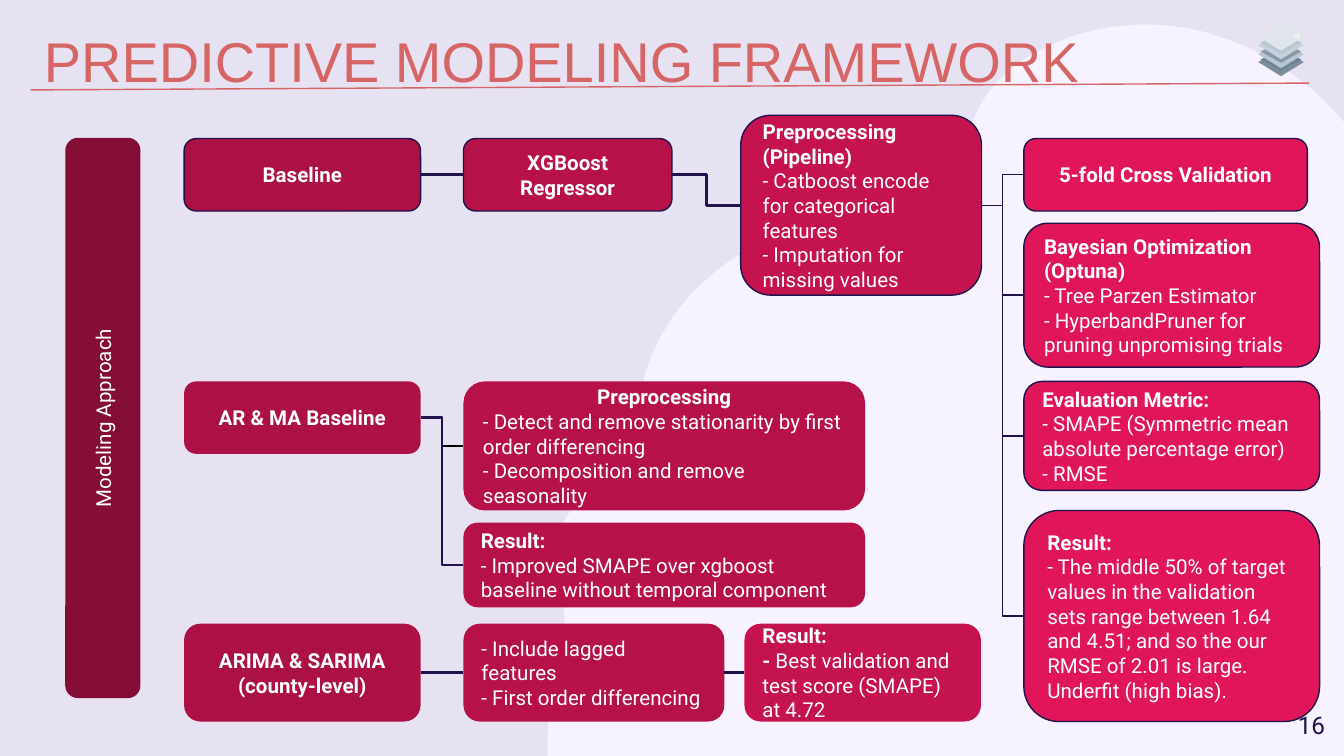
from lxml import etree
from pptx import Presentation
from pptx.dml.color import RGBColor
from pptx.enum.shapes import MSO_CONNECTOR, MSO_SHAPE
from pptx.enum.text import MSO_ANCHOR, PP_ALIGN
from pptx.oxml.ns import qn
from pptx.util import Cm, Pt

LAVENDER = RGBColor(0xE7, 0xE2, 0xF2)
PALE = RGBColor(0xF6, 0xF2, 0xFF)
CORAL = RGBColor(0xD6, 0x65, 0x65)
NAVY = RGBColor(0x20, 0x12, 0x4D)
BLACK = RGBColor(0, 0, 0)
WHITE = RGBColor(0xFF, 0xFF, 0xFF)
MAROON = RGBColor(0x84, 0x0D, 0x35)
WINE = RGBColor(0xAC, 0x11, 0x45)
CRIMSON = RGBColor(0xB6, 0x12, 0x49)
RED = RGBColor(0xC4, 0x13, 0x4E)
PINK = RGBColor(0xE1, 0x16, 0x5A)
STACK = [
    (0.91, RGBColor(0x7B, 0x8E, 0x9E), RGBColor(0x6E, 0x82, 0x94)),
    (0.76, RGBColor(0xB8, 0xC6, 0xD2), RGBColor(0x85, 0x99, 0xAA)),
    (0.59, RGBColor(0xC5, 0xD0, 0xDA), RGBColor(0xB8, 0xC6, 0xD2)),
]
STACK_TOP = RGBColor(0xDF, 0xE5, 0xEA)
STACK_GLINT = RGBColor(0xEC, 0xEF, 0xF2)

MODEL_X, STEP_X, PREP_X, EVAL_X = 3.48, 8.76, 14.0, 19.35
MODEL_W, EVAL_W = 4.47, 5.59
BASE_Y, AR_Y, ARIMA_Y = 2.62, 7.21, 11.79
LOW_H, ARIMA_H = 1.37, 1.85

BLOB_START = (25.4, 2.31)
BLOB_CURVES = [
    ((24.74, 1.52), (23.83, 0.89), (22.78, 0.61)),
    ((21.62, 0.3), (20.32, 0.48), (19.33, 1.14)),
    ((18.82, 1.5), (18.52, 1.88), (18.34, 2.41)),
    ((18.19, 2.82), (18.03, 3.28), (17.68, 3.56)),
    ((17.25, 3.89), (16.74, 3.84), (16.18, 3.94)),
    ((15.04, 4.14), (13.89, 4.7), (13.08, 5.54)),
    ((12.7, 5.94), (12.4, 6.45), (12.22, 6.98)),
    ((12.04, 7.52), (11.99, 8.13), (11.68, 8.61)),
    ((11.4, 9.09), (10.92, 9.4), (10.64, 9.88)),
    ((10.31, 10.52), (10.69, 11.15), (10.67, 11.81)),
    ((10.64, 12.6), (10.3, 13.4), (10.35, 14.29)),
]


def flatten(start, curves, steps=12):
    outline = [start]
    for a, b, end in curves:
        begin = outline[-1]
        for step in range(1, steps + 1):
            t = step / steps
            weights = ((1 - t) ** 3, 3 * t * (1 - t) ** 2, 3 * t * t * (1 - t), t ** 3)
            outline.append(tuple(
                sum(w * p[axis] for w, p in zip(weights, (begin, a, b, end)))
                for axis in (0, 1)))
    return outline


def heading(text, align=PP_ALIGN.LEFT):
    return align, [(text, True)]


def title(text):
    return heading(text, PP_ALIGN.CENTER)


def item(text):
    return PP_ALIGN.LEFT, [(text, False)]


class Board:
    """Holds the shared style and the slide being built."""

    body = {"name": "Roboto", "size": Pt(11)}
    frame = {"word_wrap": True, "margin_left": Cm(0.25), "margin_right": Cm(0.25),
             "margin_top": Cm(0.25), "margin_bottom": Cm(0.25)}

    def __init__(self, slide):
        self.slide = slide
        slide.background.fill.solid()
        slide.background.fill.fore_color.rgb = LAVENDER

    def fill_text(self, shape, paragraphs, color=WHITE, anchor=MSO_ANCHOR.MIDDLE,
                  frame=None, font=None):
        text_frame = shape.text_frame
        for key, value in {**self.frame, "vertical_anchor": anchor, **(frame or {})}.items():
            setattr(text_frame, key, value)
        for index, (align, runs) in enumerate(paragraphs):
            paragraph = text_frame.add_paragraph() if index else text_frame.paragraphs[0]
            paragraph.alignment = align
            for text, bold in runs:
                run = paragraph.add_run()
                run.text = text
                for key, value in {**self.body, "bold": bold, **(font or {})}.items():
                    setattr(run.font, key, value)
                run.font.color.rgb = color

    def paint(self, shape, fill, outlined=False):
        shape.shadow.inherit = False
        shape.fill.solid()
        shape.fill.fore_color.rgb = fill
        if outlined:
            shape.line.color.rgb = NAVY
            shape.line.width = Pt(0.75)
        else:
            shape.line.fill.background()
        return shape

    def preset(self, kind, place, fill, outlined=False):
        shape = self.slide.shapes.add_shape(kind, *map(Cm, place))
        return self.paint(shape, fill, outlined)

    def box(self, place, fill, *paragraphs, outlined=False):
        shape = self.preset(MSO_SHAPE.ROUNDED_RECTANGLE, place, fill, outlined)
        self.fill_text(shape, paragraphs)
        return shape

    def label(self, place, paragraph, color, **style):
        shape = self.slide.shapes.add_textbox(*map(Cm, place))
        self.fill_text(shape, [paragraph], color, MSO_ANCHOR.TOP, **style)

    def outline(self, points, fill):
        hundredths = [(round(x * 100), round(y * 100)) for x, y in points]
        builder = self.slide.shapes.build_freeform(*hundredths[0], scale=Cm(0.01))
        builder.add_line_segments(hundredths[1:], close=True)
        return self.paint(builder.convert_to_shape(), fill)

    def line(self, kind, ends, color, width):
        connector = self.slide.shapes.add_connector(kind, *map(Cm, ends))
        connector.line.color.rgb = color
        connector.line.width = Pt(width)
        etree.SubElement(connector._element.spPr, qn("a:effectLst"))
        return connector

    def link(self, source, target, width=1.5, color=NAVY):
        connector = self.line(MSO_CONNECTOR.ELBOW, (0, 0, 1, 1), color, width)
        connector.begin_connect(source, 3)
        connector.end_connect(target, 1)


def main():
    deck = Presentation()
    deck.slide_width, deck.slide_height = Cm(25.4), Cm(14.29)
    board = Board(deck.slides.add_slide(deck.slide_layouts[6]))

    board.outline(flatten(BLOB_START, BLOB_CURVES) + [(25.4, 14.29)], PALE)
    board.label((0.58, 0.13, 21.41, 1.6), item("PREDICTIVE MODELING FRAMEWORK"), CORAL,
                frame={"margin_top": Cm(0.37)}, font={"name": "Arial", "size": Pt(30)})
    board.line(MSO_CONNECTOR.STRAIGHT, (0.58, 1.7, 24.74, 1.57), CORAL, 0.75)

    for top, rim, face in STACK:
        board.preset(MSO_SHAPE.DIAMOND, (23.78, top, 0.86, 0.53), rim)
        board.preset(MSO_SHAPE.DIAMOND, (23.83, top, 0.76, 0.43), face)
    board.preset(MSO_SHAPE.DIAMOND, (23.78, 0.43, 0.86, 0.53), STACK_TOP)
    board.outline([(24.56, 0.61), (24.43, 0.68), (24.56, 0.76)], STACK_GLINT)

    approach = board.box((-3.35, 7.19, 10.59, 1.42), MAROON,
                         (PP_ALIGN.CENTER, [("Modeling Approach", False)]))
    approach.rotation = 270

    baseline = board.box((MODEL_X, BASE_Y, MODEL_W, LOW_H), WINE,
                         title("Baseline"), outlined=True)
    regressor = board.box((STEP_X, BASE_Y, 3.94, LOW_H), CRIMSON,
                          title("XGBoost Regressor"), outlined=True)
    pipeline = board.box((PREP_X, 2.18, 4.55, 3.4), RED,
                         heading("Preprocessing (Pipeline)"),
                         item("- Catboost encode for categorical features"),
                         item("- Imputation for missing values"), outlined=True)
    board.link(baseline, regressor)
    board.link(regressor, pipeline)

    evaluation = [
        (BASE_Y, 5.36, LOW_H, [title("5-fold Cross Validation")]),
        (4.22, EVAL_W, 2.72, [heading("Bayesian Optimization (Optuna)"),
                              item("- Tree Parzen Estimator"),
                              item("- HyperbandPruner for pruning unpromising trials")]),
        (AR_Y, EVAL_W, 2.06, [heading("Evaluation Metric:"),
                              item("- SMAPE (Symmetric mean absolute percentage error)"),
                              item("- RMSE")]),
        (9.65, EVAL_W, 3.99, [heading("Result:"),
                              item("- The middle 50% of target values in the validation sets "
                                   "range between 1.64 and 4.51; and so the our RMSE of 2.01 "
                                   "is large. Underfit (high bias).")]),
    ]
    for top, width, height, paragraphs in evaluation:
        stage = board.box((EVAL_X, top, width, height), PINK, *paragraphs, outlined=True)
        board.link(pipeline, stage, 0.75)

    ar_ma = board.box((MODEL_X, AR_Y, MODEL_W, LOW_H), WINE, title("AR & MA Baseline"))
    differencing = board.box(
        (STEP_X, AR_Y, 7.59, 2.44), CRIMSON, title("Preprocessing"),
        item("- Detect and remove stationarity by first order differencing"),
        item("- Decomposition and remove seasonality"))
    ar_result = board.box(
        (STEP_X, 9.88, 7.59, 1.6), CRIMSON, heading("Result:"),
        item("- Improved SMAPE over xgboost baseline without temporal component"))
    board.link(ar_ma, differencing, color=BLACK)
    board.link(ar_ma, ar_result)

    arima = board.box((MODEL_X, ARIMA_Y, MODEL_W, ARIMA_H), WINE,
                      title("ARIMA & SARIMA (county-level)"))
    lagged = board.box((STEP_X, ARIMA_Y, 4.93, ARIMA_H), CRIMSON,
                       item("- Include lagged features"),
                       item("- First order differencing"))
    arima_result = board.box(
        (14.07, ARIMA_Y, MODEL_W, ARIMA_H), RED, heading("Result:"),
        (PP_ALIGN.LEFT, [("-", True),
                         (" Best validation and test score (SMAPE) at 4.72", False)]))
    board.link(arima, lagged)
    board.link(lagged, arima_result)

    board.label((23.77, 13.18, 1.52, 1.09), (PP_ALIGN.RIGHT, [("16", False)]), NAVY,
                font={"size": Pt(13)})
    deck.save("out.pptx")


if __name__ == "__main__":
    main()
